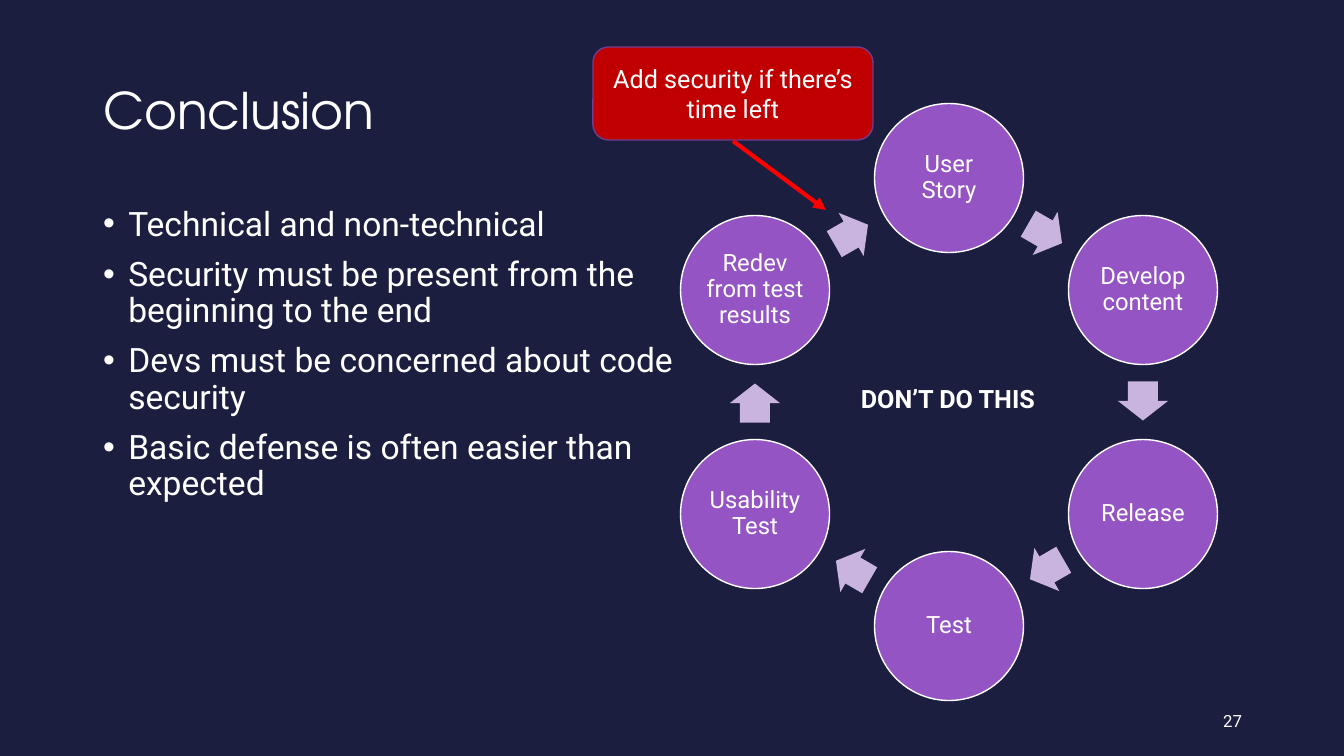
import math
from dataclasses import dataclass

from lxml import etree
from pptx import Presentation
from pptx import util as u
from pptx.dml.color import RGBColor
from pptx.enum import shapes, text
from pptx.oxml.ns import qn

EMU_PER_PX = 12192000 / 1344
SLIDE_SIZE = (1344, 756)

BULLETS = [
    "Technical and non-technical",
    "Security must be present from the beginning to the end",
    "Devs must be concerned about code security",
    "Basic defense is often easier than expected",
]
STAGES = ["User Story", "Develop content", "Release", "Test",
          "Usability Test", "Redev from test results"]
CYCLE_CENTRE = (949, 402)
CYCLE_RADIUS = 224
STAGE_SIZE = 149
ARROW_SIZE = (39, 50)
ARROW_LAG = 0.3


@dataclass(frozen=True)
class Theme:
    background: str = "1B1E3E"
    ink: str = "FFFFFF"
    stage: str = "9454C3"
    step: str = "C8B4DE"
    warning: str = "C00000"
    warning_edge: str = "6D3E90"
    pointer: str = "FF0000"
    heading_font: str = "TeX Gyre Adventor"
    body_font: str = "Roboto"
    title_size: int = 36
    bullet_size: int = 24
    callout_size: int = 18
    stage_size: int = 17
    page_size: int = 12


THEME = Theme()


def px(length):
    return u.Emu(round(length * EMU_PER_PX))


def rgb(code):
    return RGBColor.from_string(code)


def place(shape, box):
    shape.left, shape.top, shape.width, shape.height = map(px, box)


def add_text(paragraph, wording, size, font=THEME.body_font, bold=False,
             align=text.PP_ALIGN.LEFT, spacing=None):
    paragraph.alignment = align
    paragraph.line_spacing = spacing
    run = paragraph.add_run()
    run.text = wording
    run.font.name = font
    run.font.size = u.Pt(size)
    run.font.bold = bold
    run.font.color.rgb = rgb(THEME.ink)


def set_frame(shape, anchor):
    frame = shape.text_frame
    frame.word_wrap = True
    frame.auto_size = text.MSO_AUTO_SIZE.NONE
    frame.vertical_anchor = anchor
    return frame


def add_title(slide, wording, box):
    title = slide.shapes.title
    place(title, box)
    frame = set_frame(title, text.MSO_ANCHOR.MIDDLE)
    add_text(frame.paragraphs[0], wording, THEME.title_size,
             THEME.heading_font, spacing=0.9)


def add_bullets(slide, items, box):
    body = slide.placeholders[1]
    place(body, box)
    frame = set_frame(body, text.MSO_ANCHOR.TOP)
    for index, item in enumerate(items):
        paragraph = frame.add_paragraph() if index else frame.paragraphs[0]
        add_text(paragraph, item, THEME.bullet_size, spacing=0.9)
        paragraph.space_before = u.Pt(10)
        properties = paragraph._p.get_or_add_pPr()
        properties.set("marL", str(u.Inches(0.25)))
        properties.set("indent", str(-u.Inches(0.25)))
        etree.SubElement(properties, qn("a:buChar"), char="•")


def add_label(slide, wording, box, size, anchor=text.MSO_ANCHOR.TOP, **style):
    label = slide.shapes.add_textbox(*map(px, box))
    add_text(set_frame(label, anchor).paragraphs[0], wording, size, **style)


def add_block(slide, kind, box, fill, edge=None):
    block = slide.shapes.add_shape(kind, *map(px, box))
    block.shadow.inherit = False
    block.fill.solid()
    block.fill.fore_color.rgb = rgb(fill)
    if edge:
        block.line.color.rgb = rgb(edge)
        block.line.width = u.Pt(1)
    else:
        block.line.fill.background()
    return block


def cycle_box(angle, radius, width, height):
    """Box centred at a clockwise angle from the top of the cycle."""
    turn = math.radians(angle)
    x = CYCLE_CENTRE[0] + radius * math.sin(turn)
    y = CYCLE_CENTRE[1] - radius * math.cos(turn)
    return x - width / 2, y - height / 2, width, height


def add_stage(slide, wording, angle):
    stage = add_block(slide, shapes.MSO_SHAPE.OVAL,
                      cycle_box(angle, CYCLE_RADIUS, STAGE_SIZE, STAGE_SIZE),
                      THEME.stage, THEME.ink)
    frame = set_frame(stage, text.MSO_ANCHOR.MIDDLE)
    frame.margin_left = frame.margin_right = px(2)
    frame.margin_top = frame.margin_bottom = px(2)
    add_text(frame.paragraphs[0], wording, THEME.stage_size,
             align=text.PP_ALIGN.CENTER, spacing=0.9)


def add_step_arrow(slide, angle):
    radius = CYCLE_RADIUS * math.cos(math.radians(30))
    arrow = add_block(slide, shapes.MSO_SHAPE.RIGHT_ARROW,
                      cycle_box(angle - ARROW_LAG, radius, *ARROW_SIZE),
                      THEME.step)
    arrow.adjustments[0] = 0.6
    arrow.adjustments[1] = 0.5
    arrow.rotation = angle


def add_cycle(slide, stages):
    sector = 360 / len(stages)
    for index, stage in enumerate(stages):
        add_stage(slide, stage, index * sector)
        add_step_arrow(slide, (index + 0.5) * sector)


def add_callout(slide, wording, box):
    callout = add_block(slide, shapes.MSO_SHAPE.ROUNDED_RECTANGLE, box,
                        THEME.warning, THEME.warning_edge)
    frame = set_frame(callout, text.MSO_ANCHOR.MIDDLE)
    add_text(frame.paragraphs[0], wording, THEME.callout_size,
             align=text.PP_ALIGN.CENTER)


def add_pointer(slide, start, end):
    pointer = slide.shapes.add_connector(
        shapes.MSO_CONNECTOR.STRAIGHT, *map(px, start + end))
    pointer.line.color.rgb = rgb(THEME.pointer)
    pointer.line.width = u.Pt(3)
    properties = pointer._element.spPr
    etree.SubElement(properties.find(qn("a:ln")), qn("a:tailEnd"),
                     type="triangle")
    etree.SubElement(properties, qn("a:effectLst"))


def main():
    deck = Presentation()
    deck.slide_width, deck.slide_height = map(px, SLIDE_SIZE)
    slide = deck.slides.add_slide(deck.slide_layouts[1])
    slide.background.fill.solid()
    slide.background.fill.fore_color.rgb = rgb(THEME.background)

    add_title(slide, "Conclusion", (93, 40, 1159, 146))
    add_bullets(slide, BULLETS, (93, 202, 623, 335))
    add_label(slide, "27", (950, 701, 302, 40), THEME.page_size,
              text.MSO_ANCHOR.MIDDLE, align=text.PP_ALIGN.RIGHT)
    add_cycle(slide, STAGES)
    add_callout(slide, "Add security if there’s time left",
                (593, 47, 280, 93))
    add_pointer(slide, (733, 141), (826, 210))
    add_label(slide, "DON’T DO THIS", (851, 378, 202, 40),
              THEME.callout_size, bold=True)
    deck.save("out.pptx")


if __name__ == "__main__":
    main()
